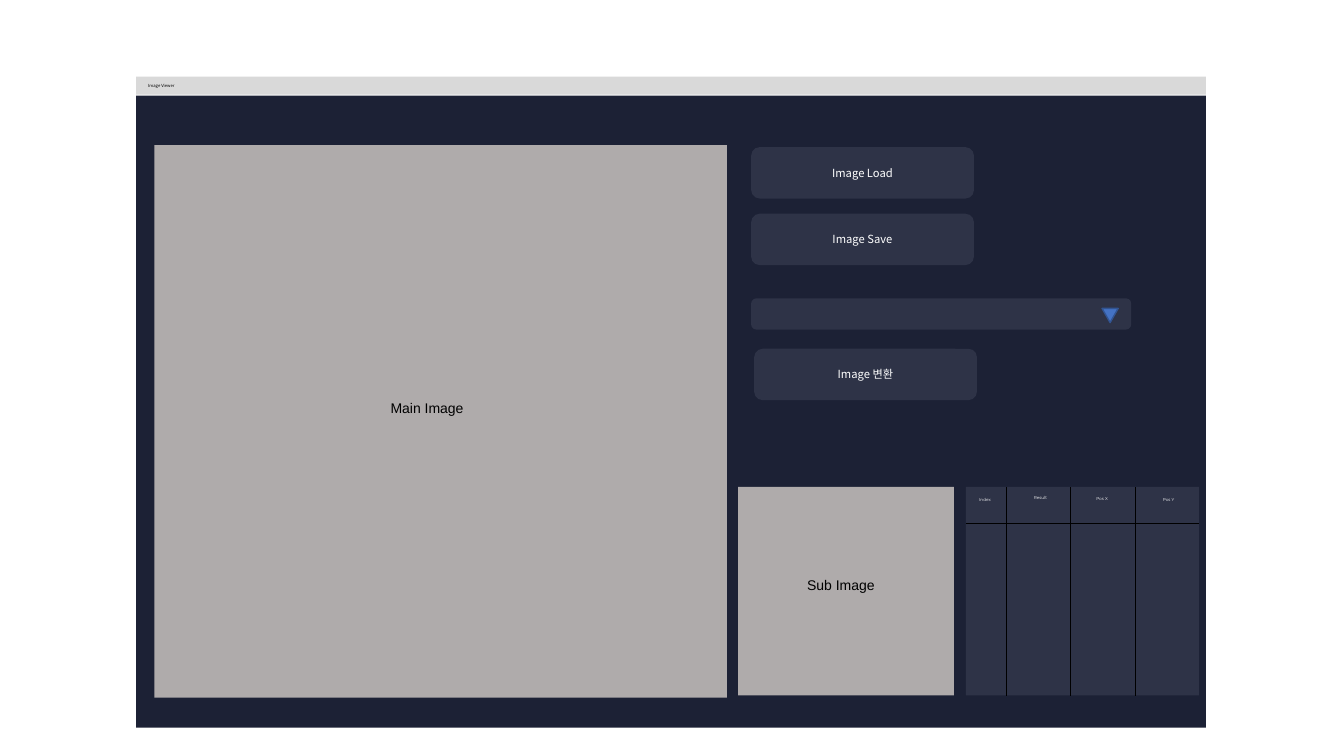
from dataclasses import dataclass

from lxml import etree
from pptx import Presentation
from pptx.dml.color import RGBColor
from pptx.enum import shapes, text
from pptx.oxml import ns
from pptx.util import Inches, Pt

COLORS = {
    "window": "1C2135",
    "title_bar": "D9D9D9",
    "image": "AFABAB",
    "control": "2E3347",
    "arrow": "4472C4",
    "arrow_edge": "325491",
    "black": "000000",
    "white": "FFFFFF",
}
UI_FONT = "Noto Sans CJK KR"
RECTANGLE = shapes.MSO_SHAPE.RECTANGLE
ROUNDED = shapes.MSO_SHAPE.ROUNDED_RECTANGLE


@dataclass(frozen=True)
class Style:
    font: str
    size: float
    color: str


@dataclass(frozen=True)
class Box:
    left: float
    top: float
    width: float
    height: float
    fill: str = "control"
    kind: shapes.MSO_SHAPE = RECTANGLE


@dataclass(frozen=True)
class Label:
    words: str
    left: float
    top: float
    width: float
    height: float
    style: Style


BUTTON_STYLE = Style(UI_FONT, 8, "white")
TITLE_STYLE = Style(UI_FONT, 3, "black")
HEADER_STYLE = Style("Montserrat", 3, "white")
IMAGE_STYLE = Style("Arial", 10, "black")

WINDOW = Box(1.35, 0.95, 10.61, 6.27, "window")
TITLE_BAR = Box(1.35, 0.76, 10.61, 0.18, "title_bar")
MAIN_IMAGE = Box(1.53, 1.44, 5.68, 5.48, "image")
SUB_IMAGE = Box(7.32, 4.83, 2.14, 2.07, "image")
RESULTS = Box(9.58, 4.83, 2.31, 2.07)
DROPDOWN = Box(7.45, 2.96, 3.77, 0.31, kind=ROUNDED)
DROPDOWN_ARROW = Box(10.93, 3.06, 0.16, 0.14, "arrow", shapes.MSO_SHAPE.ISOSCELES_TRIANGLE)

HEADER_BOTTOM = 5.19
FIRST_DIVIDER, DIVIDER_STEP, DIVIDER_COUNT = 9.98, 0.64, 3

BUTTONS = {
    "Image Load": (7.45, 1.46),
    "Image Save": (7.45, 2.12),
    "Image 변환": (7.48, 3.46),
}
LABELS = [
    Label("Index", 9.43, 4.88, 0.68, 0.31, HEADER_STYLE),
    Label("Result", 9.93, 4.86, 0.78, 0.31, HEADER_STYLE),
    Label("Pos X", 10.54, 4.87, 0.78, 0.31, HEADER_STYLE),
    Label("Pos Y", 11.2, 4.88, 0.78, 0.31, HEADER_STYLE),
    Label("Main Image", 3.08, 3.91, 2.31, 0.55, IMAGE_STYLE),
    Label("Sub Image", 7.4, 5.67, 1.88, 0.55, IMAGE_STYLE),
]


def rgb(name: str) -> RGBColor:
    return RGBColor.from_string(COLORS[name])


def write(shape, words: str, style: Style, align=text.PP_ALIGN.CENTER) -> None:
    shape.text_frame.word_wrap = True
    paragraph = shape.text_frame.paragraphs[0]
    paragraph.alignment = align
    run = paragraph.add_run()
    run.text = words
    run.font.name = style.font
    run.font.size = Pt(style.size)
    run.font.color.rgb = rgb(style.color)
    east_asian = etree.SubElement(run.font._element, ns.qn("a:ea"))
    east_asian.set("typeface", style.font)


def add_box(slide, box: Box):
    shape = slide.shapes.add_shape(
        box.kind, Inches(box.left), Inches(box.top), Inches(box.width), Inches(box.height)
    )
    shape.shadow.inherit = False
    shape.fill.solid()
    shape.fill.fore_color.rgb = rgb(box.fill)
    shape.line.fill.background()
    shape.text_frame.vertical_anchor = text.MSO_ANCHOR.MIDDLE
    return shape


def add_label(slide, label: Label) -> None:
    shape = slide.shapes.add_textbox(
        Inches(label.left), Inches(label.top), Inches(label.width), Inches(label.height)
    )
    write(shape, label.words, label.style)


def add_rule(slide, x1: float, y1: float, x2: float, y2: float) -> None:
    """Draw one thin black line of the results grid."""
    rule = slide.shapes.add_connector(
        shapes.MSO_CONNECTOR.STRAIGHT, Inches(x1), Inches(y1), Inches(x2), Inches(y2)
    )
    rule.line.color.rgb = rgb("black")
    rule.line.width = Pt(0.5)
    etree.SubElement(rule._element.spPr, ns.qn("a:effectLst"))


def add_results_grid(slide) -> None:
    add_box(slide, RESULTS)
    right = RESULTS.left + RESULTS.width
    bottom = RESULTS.top + RESULTS.height
    add_rule(slide, RESULTS.left, HEADER_BOTTOM, right, HEADER_BOTTOM)
    for column in range(DIVIDER_COUNT):
        x = FIRST_DIVIDER + column * DIVIDER_STEP
        add_rule(slide, x, bottom, x, RESULTS.top)


def add_dropdown(slide) -> None:
    add_box(slide, DROPDOWN)
    arrow = add_box(slide, DROPDOWN_ARROW)
    arrow.rotation = 180
    arrow.line.color.rgb = rgb("arrow_edge")
    arrow.line.width = Pt(1)


def main() -> None:
    presentation = Presentation()
    presentation.slide_width = Inches(13.33)
    presentation.slide_height = Inches(7.5)
    slide = presentation.slides.add_slide(presentation.slide_layouts[6])

    add_box(slide, WINDOW)
    title_bar = add_box(slide, TITLE_BAR)
    title_bar.text_frame.margin_left = Inches(0.12)
    write(title_bar, "Image Viewer", TITLE_STYLE, text.PP_ALIGN.LEFT)
    for image in (MAIN_IMAGE, SUB_IMAGE):
        add_box(slide, image)
    add_results_grid(slide)
    for label in LABELS:
        add_label(slide, label)
    for words, (left, top) in BUTTONS.items():
        button = add_box(slide, Box(left, top, 2.21, 0.51, kind=ROUNDED))
        write(button, words, BUTTON_STYLE)
    add_dropdown(slide)

    presentation.save("out.pptx")


if __name__ == "__main__":
    main()
